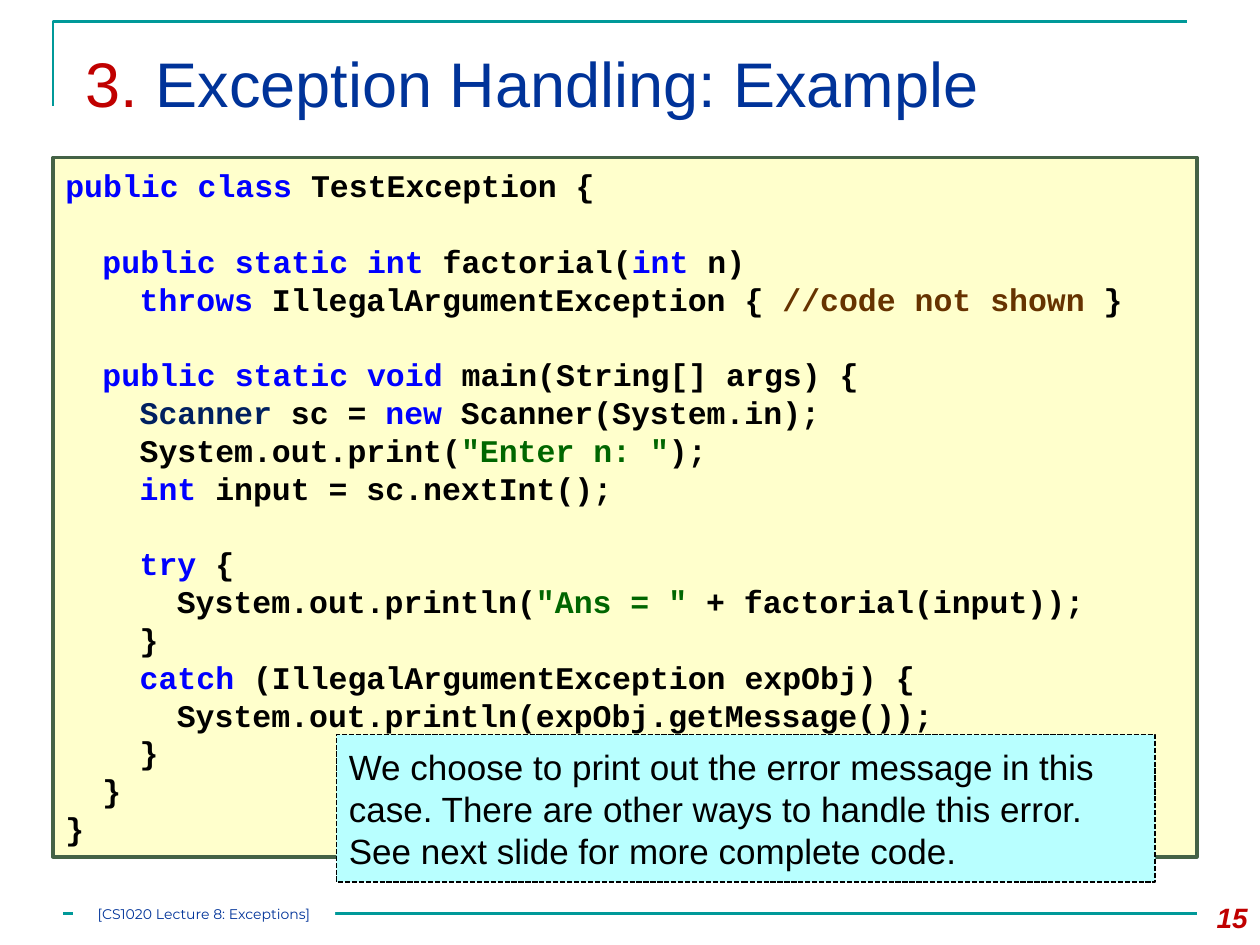
import pptx
import pptx.dml.color
import pptx.enum.dml
import pptx.enum.shapes
import pptx.enum.text
import pptx.oxml.ns
import pptx.util
from dataclasses import dataclass
from lxml import etree
from pptx.util import Inches

ALIGN = pptx.enum.text.PP_ALIGN
ANCHOR = pptx.enum.text.MSO_ANCHOR
RECTANGLE = pptx.enum.shapes.MSO_SHAPE.RECTANGLE


@dataclass(frozen=True)
class Theme:
    sans: str = "Arial"
    mono: str = "Courier New"
    footer_font: str = "Montserrat"
    title_size: float = 36
    note_size: float = 20
    code_size: float = 18
    code_pitch: float = 21.6
    number_size: float = 16
    footer_size: float = 8
    rule_width: float = 1.5
    white: str = "FFFFFF"
    black: str = "000000"
    navy: str = "003399"
    red: str = "C00000"
    teal: str = "009999"
    code_fill: str = "FFFFCC"
    code_edge: str = "446246"
    note_fill: str = "B8FFFF"
    keyword: str = "0000FF"
    type_name: str = "002060"
    string: str = "006600"
    comment: str = "663300"


THEME = Theme()
PLAIN, KEYWORD, TYPE = THEME.black, THEME.keyword, THEME.type_name
STRING, COMMENT = THEME.string, THEME.comment

# Each line: indent level, blank lines above, coloured spans
CODE = [
    (0, 0, [("public class", KEYWORD), (" TestException {", PLAIN)]),
    (1, 1, [("public static int ", KEYWORD), ("factorial(", PLAIN),
            ("int", KEYWORD), (" n)", PLAIN)]),
    (2, 0, [("throws ", KEYWORD), ("IllegalArgumentException { ", PLAIN),
            ("//code not shown ", COMMENT), ("}", PLAIN)]),
    (1, 1, [("public static void ", KEYWORD), ("main(String[] args) {", PLAIN)]),
    (2, 0, [("Scanner", TYPE), (" sc = ", PLAIN), ("new", KEYWORD),
            (" Scanner(System.in);", PLAIN)]),
    (2, 0, [("System.out.print(", PLAIN), ('"Enter n: "', STRING), (");", PLAIN)]),
    (2, 0, [("int ", KEYWORD), ("input = sc.nextInt();", PLAIN)]),
    (2, 1, [("try", KEYWORD), (" {", PLAIN)]),
    (3, 0, [("System.out.println(", PLAIN), ('"Ans = " ', STRING),
            ("+ factorial(input));", PLAIN)]),
    (2, 0, [("}", PLAIN)]),
    (2, 0, [("catch ", KEYWORD), ("(IllegalArgumentException expObj) {", PLAIN)]),
    (3, 0, [("System.out.println(expObj.getMessage());", PLAIN)]),
    (2, 0, [("}", PLAIN)]),
    (1, 0, [("}", PLAIN)]),
    (0, 0, [("}", PLAIN)]),
]


def rgb(value):
    return pptx.dml.color.RGBColor.from_string(value)


def add_span(para, text, font, size, color, bold=False, italic=False):
    span = para.add_run()
    span.text = text
    span.font.name = font
    span.font.size = pptx.util.Pt(size)
    span.font.color.rgb = rgb(color)
    span.font.bold = bold
    span.font.italic = italic


def set_line(shape, color, width):
    shape.line.color.rgb = rgb(color)
    shape.line.width = pptx.util.Pt(width)


def add_panel(page, box, fill, anchor):
    panel = page.shapes.add_shape(RECTANGLE, *map(Inches, box))
    panel.shadow.inherit = False
    panel.fill.solid()
    panel.fill.fore_color.rgb = rgb(fill)
    panel.text_frame.word_wrap = True
    panel.text_frame.vertical_anchor = anchor
    return panel


def add_corner_rule(page, box):
    left, top, width, height = map(Inches, box)
    builder = page.shapes.build_freeform(left, top + height)
    builder.add_line_segments([(left, top), (left + width, top)], close=False)
    corner = builder.convert_to_shape()
    corner.shadow.inherit = False
    corner.fill.background()
    set_line(corner, THEME.teal, THEME.rule_width)


def add_title(page, box):
    title = page.shapes.title
    title.left, title.top, title.width, title.height = map(Inches, box)
    frame = title.text_frame
    frame.vertical_anchor = ANCHOR.TOP
    frame.margin_top = Inches(0.1)
    para = frame.paragraphs[0]
    para.alignment = ALIGN.LEFT
    add_span(para, "3. ", THEME.sans, THEME.title_size, THEME.red)
    add_span(para, "Exception Handling: Example", THEME.sans,
             THEME.title_size, THEME.navy)


def add_code(page, box):
    panel = add_panel(page, box, THEME.code_fill, ANCHOR.TOP)
    set_line(panel, THEME.code_edge, 2)
    frame = panel.text_frame
    frame.margin_top = Inches(0.07)
    for index, (level, gap, spans) in enumerate(CODE):
        para = frame.add_paragraph() if index else frame.paragraphs[0]
        para.alignment = ALIGN.LEFT
        para.line_spacing = pptx.util.Pt(THEME.code_pitch)
        para.space_before = pptx.util.Pt(gap * THEME.code_pitch)
        para._p.get_or_add_pPr().set("marL", str(Inches(0.295 * level)))
        for text, color in spans:
            add_span(para, text, THEME.mono, THEME.code_size, color, bold=True)


def add_note(page, box):
    panel = add_panel(page, box, THEME.note_fill, ANCHOR.MIDDLE)
    set_line(panel, THEME.black, 1)
    panel.line.dash_style = pptx.enum.dml.MSO_LINE.SQUARE_DOT
    frame = panel.text_frame
    frame.text = ("We choose to print out the error message in this case. "
                  "There are other ways to handle this error.\n"
                  "See next slide for more complete code.")
    for para in frame.paragraphs:
        para.alignment = ALIGN.LEFT
        para.font.name = THEME.sans
        para.font.size = pptx.util.Pt(THEME.note_size)
        para.font.color.rgb = rgb(THEME.black)


def add_footer(page, box):
    left, top, width, height = box
    middle = top + 0.15

    # Rule, broken by the lecture label
    rule = page.shapes.add_connector(
        pptx.enum.shapes.MSO_CONNECTOR.STRAIGHT,
        Inches(left), Inches(middle), Inches(left + 9), Inches(middle))
    set_line(rule, THEME.teal, THEME.rule_width)
    etree.SubElement(rule._element.spPr, pptx.oxml.ns.qn("a:effectLst"))

    label = add_panel(page, (left + 0.08, middle - 0.08, 2.08, 0.17),
                      THEME.white, ANCHOR.MIDDLE)
    label.line.fill.background()
    frame = label.text_frame
    frame.margin_left = frame.margin_right = 0
    frame.margin_top = frame.margin_bottom = 0
    frame.paragraphs[0].alignment = ALIGN.CENTER
    add_span(frame.paragraphs[0], "[CS1020 Lecture 8: Exceptions]",
             THEME.footer_font, THEME.footer_size, THEME.navy)

    # Page number
    number = page.shapes.add_textbox(
        Inches(left + width - 0.67), Inches(top), Inches(0.67), Inches(height))
    number.text_frame.word_wrap = True
    para = number.text_frame.paragraphs[0]
    para.alignment = ALIGN.RIGHT
    add_span(para, "15", THEME.sans, THEME.number_size, THEME.red,
             bold=True, italic=True)


def main():
    deck = pptx.Presentation()
    deck.slide_width, deck.slide_height = Inches(10), Inches(7.5)
    page = deck.slides.add_slide(deck.slide_layouts.get_by_name("Title Only"))
    add_corner_rule(page, (0.42, 0.17, 9, 0.67))
    add_title(page, (0.58, 0.25, 9.17, 0.86))
    add_code(page, (0.42, 1.25, 9.08, 5.55))
    add_note(page, (2.67, 5.83, 6.5, 1.17))
    add_footer(page, (0.5, 7.1, 9.5, 0.4))
    deck.save("out.pptx")


if __name__ == "__main__":
    main()
